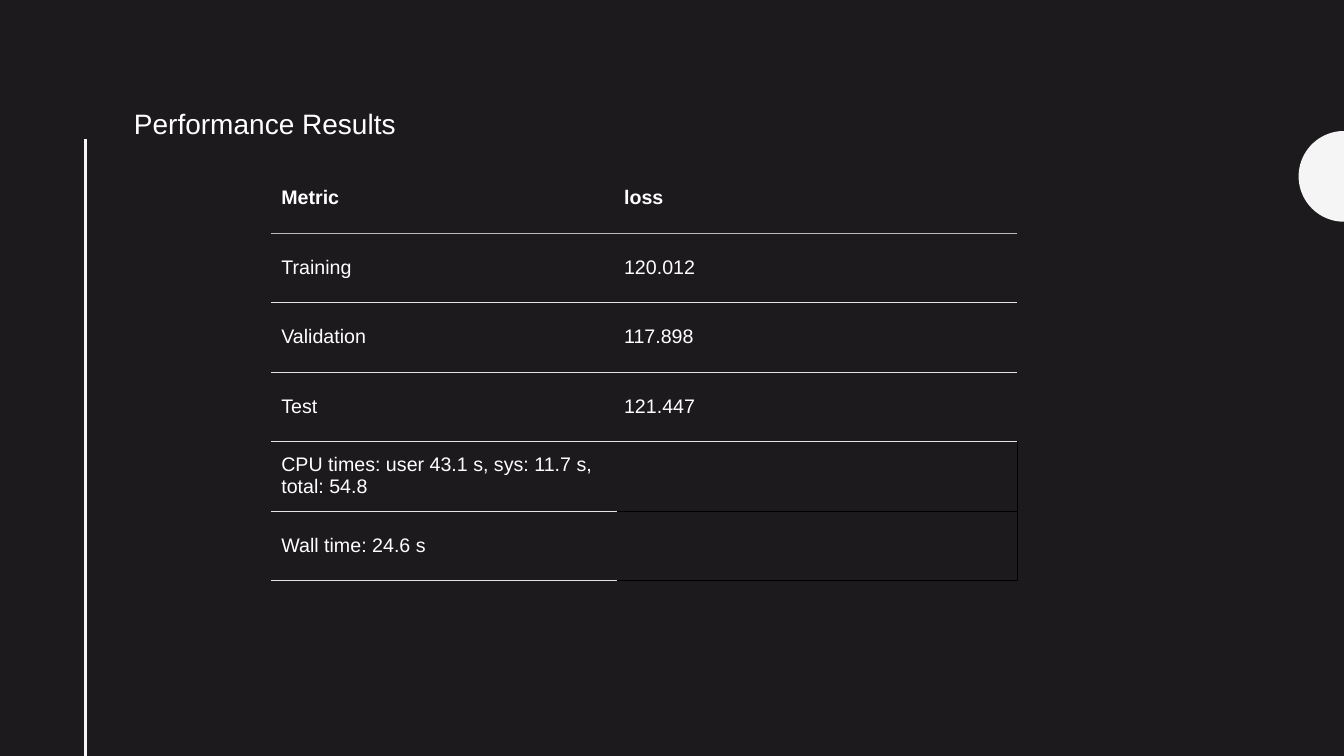
import math

from lxml import etree
from pptx import Presentation
from pptx.dml.color import RGBColor
from pptx.enum.shapes import MSO_CONNECTOR
from pptx.enum.text import MSO_ANCHOR
from pptx.oxml.ns import qn
from pptx.util import Inches, Pt

STRAIGHT = MSO_CONNECTOR.STRAIGHT
MIDDLE = MSO_ANCHOR.MIDDLE
FONT = "Arial"
COLORS = {
    "background": "1D1A1D",
    "accent": "F5F5F5",
    "text": "FFFFFF",
    "header_rule": "BBBBBB",
    "row_rule": "E5E5E5",
    "empty_rule": "000000",
}
RESULTS = [
    ("Metric", "loss"),
    ("Training", "120.012"),
    ("Validation", "117.898"),
    ("Test", "121.447"),
    ("CPU times: user 43.1 s, sys: 11.7 s, total: 54.8", ""),
    ("Wall time: 24.6 s", ""),
]
COLUMN_WIDTHS = (3.43, 3.97)
ROW_HEIGHT = 0.69


def add_span(para, text, size, bold=False):
    span = para.add_run()
    span.text = text
    span.font.name = FONT
    span.font.size = Pt(size)
    span.font.bold = bold
    span.font.color.rgb = RGBColor.from_string(COLORS["text"])


def set_borders(cell, rules):
    """Draw the sides named in rules (side: colour name); clear the others."""
    properties = cell._tc.get_or_add_tcPr()
    for position, side in enumerate(("L", "R", "T", "B")):
        line = etree.Element(qn(f"a:ln{side}"), w=str(Pt(0.33)))
        if side in rules:
            fill = etree.SubElement(line, qn("a:solidFill"))
            etree.SubElement(fill, qn("a:srgbClr"), val=COLORS[rules[side]])
        else:
            etree.SubElement(line, qn("a:noFill"))
        properties.insert(position, line)


deck = Presentation()
deck.slide_width, deck.slide_height = Inches(13.33), Inches(7.5)
page = deck.slides.add_slide(deck.slide_layouts[6])
page.background.fill.solid()
page.background.fill.fore_color.rgb = RGBColor.from_string(COLORS["background"])

# Half disc on the right edge
radius = Inches(0.45)
center_y = Inches(1.75)
arc = [
    (deck.slide_width - radius * math.sin(math.pi * step / 48),
     center_y - radius * math.cos(math.pi * step / 48))
    for step in range(49)
]
outline = page.shapes.build_freeform(*arc[0])
outline.add_line_segments(arc[1:], close=True)
half_disc = outline.convert_to_shape()
half_disc.shadow.inherit = False
half_disc.fill.solid()
half_disc.fill.fore_color.rgb = RGBColor.from_string(COLORS["accent"])
half_disc.line.fill.background()

# Vertical rule down to the bottom edge
side_rule = page.shapes.add_connector(
    STRAIGHT, Inches(0.85), Inches(1.38), Inches(0.85), deck.slide_height)
side_rule.line.color.rgb = RGBColor.from_string(COLORS["accent"])
side_rule.line.width = Pt(2)
etree.SubElement(side_rule._element.spPr, qn("a:effectLst"))

# Title
title_box = page.shapes.add_textbox(
    Inches(1.23), Inches(0.96), Inches(7.69), Inches(0.77))
title_box.text_frame.word_wrap = True
title_para = title_box.text_frame.paragraphs[0]
title_para.line_spacing = 1.14
add_span(title_para, "Performance Results", 20)

# Results table
table = page.shapes.add_table(
    len(RESULTS), len(COLUMN_WIDTHS), Inches(2.69), Inches(1.62),
    Inches(sum(COLUMN_WIDTHS)), Inches(ROW_HEIGHT * len(RESULTS))).table
table.first_row = False
table.horz_banding = False
for column, width in zip(table.columns, COLUMN_WIDTHS):
    column.width = Inches(width)

for row_index, values in enumerate(RESULTS):
    table.rows[row_index].height = Inches(ROW_HEIGHT)
    for column_index, text in enumerate(values):
        cell = table.cell(row_index, column_index)
        cell.fill.background()
        cell.vertical_anchor = MIDDLE
        cell.margin_left = Inches(0.07 if column_index else 0.1)
        cell.margin_right = cell.margin_top = cell.margin_bottom = Inches(0.07)
        if text:
            add_span(cell.text_frame.paragraphs[0], text, 14, bold=row_index == 0)
            rules = {"B": "row_rule" if row_index else "header_rule"}
        else:
            rules = {"R": "empty_rule", "B": "empty_rule"}
        if row_index:
            above = RESULTS[row_index - 1][column_index]
            rules["T"] = ("header_rule" if row_index == 1
                          else "row_rule" if above else "empty_rule")
        set_borders(cell, rules)

deck.save("out.pptx")
